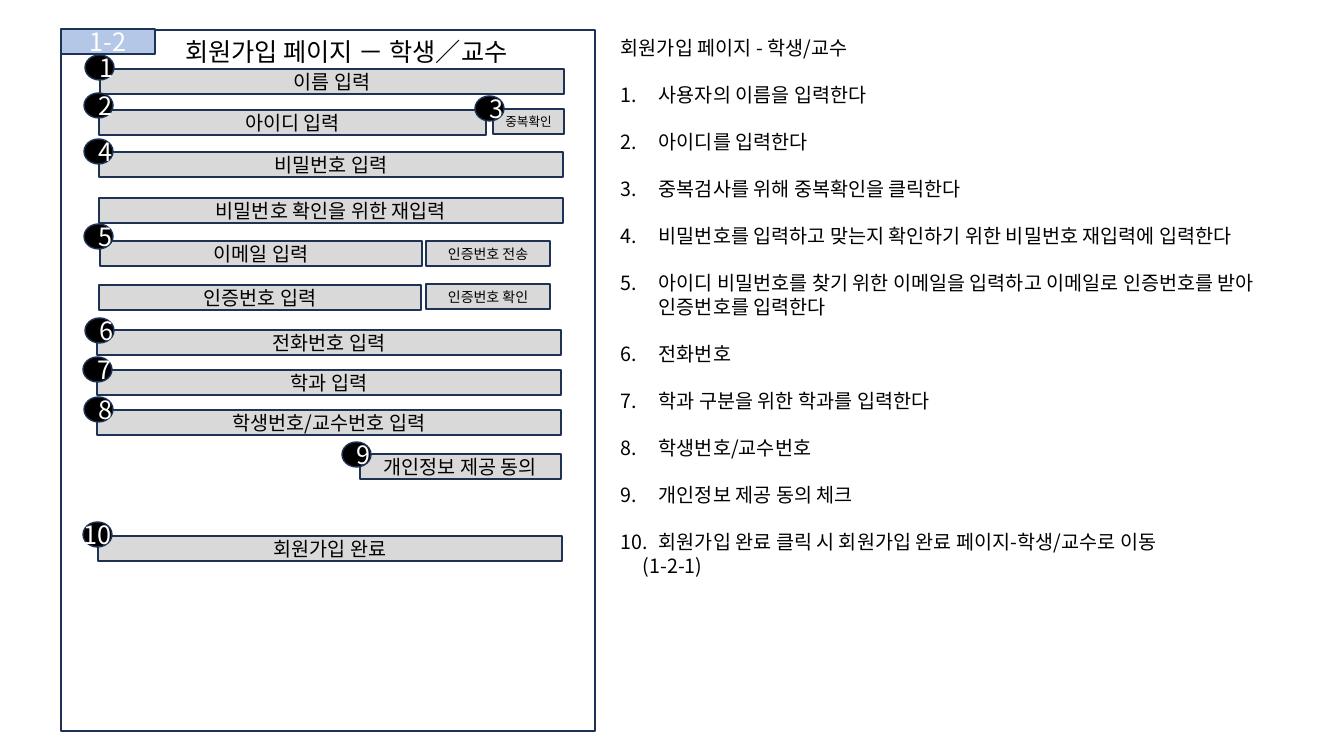
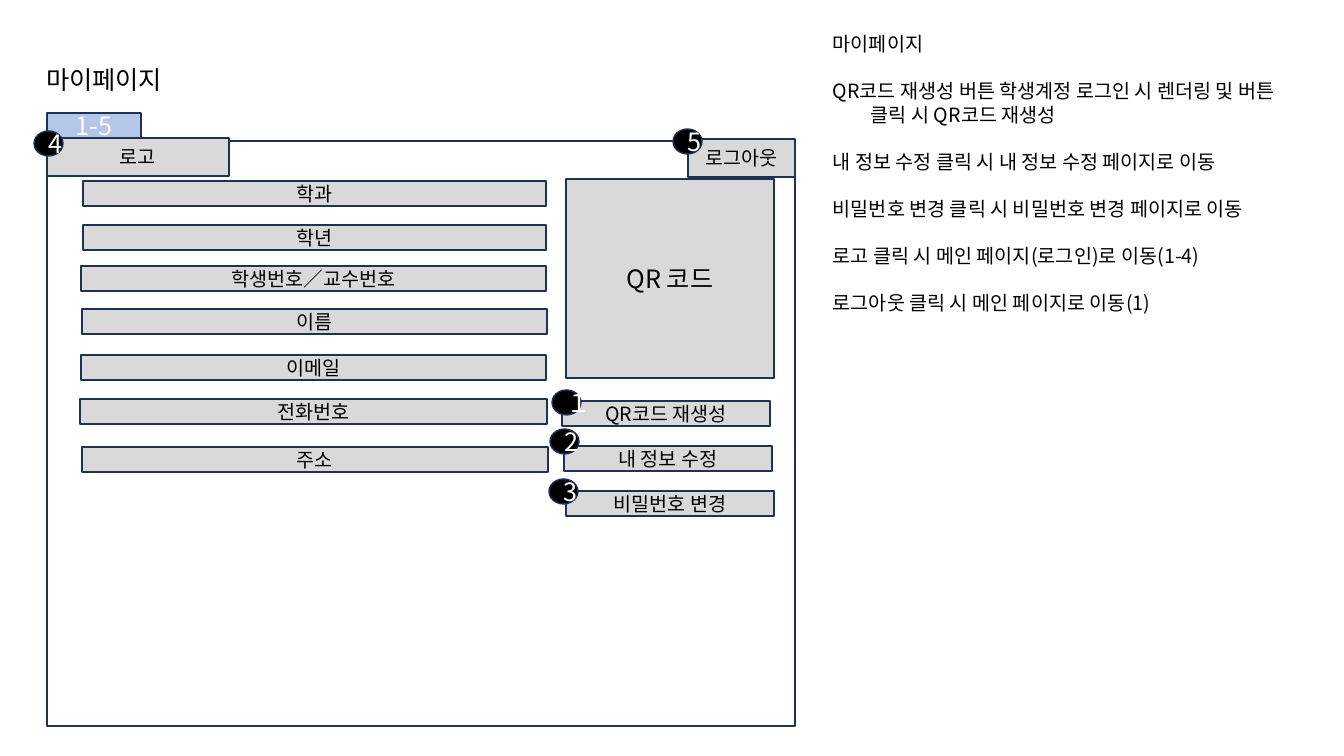
from lxml.etree import SubElement
from pptx import Presentation
from pptx.dml.color import RGBColor
from pptx.enum.shapes import MSO_SHAPE as Preset
from pptx.enum.text import MSO_ANCHOR as Anchor, MSO_AUTO_SIZE as AutoSize, PP_ALIGN as Align
from pptx.oxml.ns import qn
from pptx.util import Emu, Pt

EMU_PER_PX = 914400 / 100.8
FONT = "Noto Sans CJK KR"
WHITE, BLACK, NAVY, GRAY, SKY = "FFFFFF", "000000", "1E3256", "D9D9D9", "B4C7E7"
BODY, HEAD, LEADING = 14, 18, 1.2
ROW, BADGE, HANG = 25, 29, 38

SIGNUP = dict(
    title="회원가입 페이지 － 학생／교수",
    title_box=(175, 31, 388, 40),
    frame=(61, 30, 534, 701),
    tag=("1-2", -1),
    fields=[
        ("이름 입력", 39, 39, 464),
        ("아이디 입력", 38, 80, 387),
        ("중복확인", 432, 79, 71, ROW, 9),
        ("비밀번호 입력", 38, 122, 464),
        ("비밀번호 확인을 위한 재입력", 38, 168, 464),
        ("이메일 입력", 39, 211, 322),
        ("인증번호 전송", 365, 211, 124, ROW, 10),
        ("인증번호 입력", 38, 255, 322),
        ("인증번호 확인", 365, 254, 124, ROW, 10),
        ("전화번호 입력", 36, 300, 464),
        ("학과 입력", 36, 340, 464),
        ("학생번호/교수번호 입력", 36, 380, 464),
        ("개인정보 제공 동의", 299, 424, 201),
        ("회원가입 완료", 37, 506, 464),
    ],
    badges=[("1", 24, 25), ("2", 23, 63), ("3", 414, 66), ("4", 23, 109), ("5", 23, 194),
            ("6", 24, 288), ("7", 22, 327), ("8", 23, 367), ("9", 281, 412), ("10", 22, 492)],
    notes_box=(611, 31, 671, 581),
    heading="회원가입 페이지 - 학생/교수",
    steps=[
        "사용자의 이름을 입력한다",
        "아이디를 입력한다",
        "중복검사를 위해 중복확인을 클릭한다",
        "비밀번호를 입력하고 맞는지 확인하기 위한 비밀번호 재입력에 입력한다",
        "아이디 비밀번호를 찾기 위한 이메일을 입력하고 이메일로 인증번호를 받아 인증번호를 입력한다",
        "전화번호",
        "학과 구분을 위한 학과를 입력한다",
        "학생번호/교수번호",
        "개인정보 제공 동의 체크",
        "회원가입 완료 클릭 시 회원가입 완료 페이지-학생/교수로 이동",
    ],
    numbering="arabicPeriod",
    target="(1-2-1)",
)

MY_PAGE = dict(
    title="마이페이지",
    title_box=(36, 59, 366, 40),
    frame=(47, 141, 748, 585),
    tag=("1-5", -28),
    fields=[
        ("학과", 36, 40, 463),
        ("학년", 36, 84, 463),
        ("학생번호／교수번호", 34, 125, 465),
        ("이름", 35, 168, 465),
        ("이메일", 34, 214, 465),
        ("전화번호", 33, 258, 467),
        ("주소", 35, 306, 466),
        ("QR 코드", 519, 38, 208, 199, HEAD),
        ("QR코드 재생성", 515, 260, 208),
        ("내 정보 수정", 517, 305, 208),
        ("비밀번호 변경", 519, 350, 208),
        ("로그아웃", 641, -2, 107, 38),
        ("로고", 0, -3, 182, 38),
    ],
    badges=[("１", 505, 249), ("2", 503, 288), ("3", 502, 338), ("4", -13, -10), ("5", 626, -12)],
    notes_box=(823, 27, 497, 390),
    heading="마이페이지",
    steps=[
        "QR코드 재생성 버튼 학생계정 로그인 시 렌더링 및 버튼 클릭 시 QR코드 재생성",
        "내 정보 수정 클릭 시 내 정보 수정 페이지로 이동",
        "비밀번호 변경 클릭 시 비밀번호 변경 페이지로 이동",
        "로고 클릭 시 메인 페이지(로그인)로 이동(1-4)",
        "로그아웃 클릭 시 메인 페이지로 이동(1)",
    ],
    numbering="arabicDbPeriod",
    target=None,
)


def px(length):
    """Turn pixels into EMU."""
    return Emu(round(length * EMU_PER_PX))


def rgb(color):
    """Turn a hex string into a colour."""
    return RGBColor.from_string(color)


def write(frame, text, size=BODY, color=BLACK, align=Align.LEFT, leading=None,
          after=0, left=0, hang=0, numbering=None):
    """Add one formatted paragraph to a text frame and return it."""
    paragraph = frame.paragraphs[0] if not frame.text else frame.add_paragraph()
    paragraph.alignment = align
    paragraph.space_before, paragraph.space_after = Pt(0), Pt(after)
    if leading:
        paragraph.line_spacing = Pt(leading)
    props = paragraph._p.get_or_add_pPr()
    props.set("marL", str(px(left)))
    props.set("indent", str(px(-hang)))
    if numbering:
        SubElement(props, qn("a:buFont"), typeface="+mj-lt")
        SubElement(props, qn("a:buAutoNum"), type=numbering)
    run = paragraph.add_run()
    run.text = text
    run.font.size = Pt(size)
    run.font.color.rgb = rgb(color)
    run.font.name = FONT
    SubElement(run.font._element, qn("a:ea"), typeface=FONT)
    return paragraph


def block(slide, box, fill, text=None, preset=Preset.RECTANGLE, **text_format):
    """Draw an outlined shape with optional centred text."""
    shape = slide.shapes.add_shape(preset, *map(px, box))
    shape.shadow.inherit = False
    shape.fill.solid()
    shape.fill.fore_color.rgb = rgb(fill)
    shape.line.color.rgb = rgb(NAVY)
    shape.line.width = Pt(1)
    if text:
        shape.text_frame.vertical_anchor = Anchor.MIDDLE
        write(shape.text_frame, text, align=Align.CENTER, **text_format)
    return shape


def badge(slide, box, number):
    """Draw a numbered black marker."""
    marker = block(slide, box, BLACK, number, Preset.OVAL, size=HEAD, color=WHITE)
    if len(number) > 1:
        marker.text_frame.word_wrap = False
        marker.text_frame.margin_left = marker.text_frame.margin_right = 0


def wireframe(slide, box, tag, fields, badges):
    """Draw a screen mock-up with its parts placed from the box corner."""
    left, top, _, _ = box
    block(slide, box, WHITE)
    code, tag_top = tag
    block(slide, (left, top + tag_top, 94, ROW), SKY, code, size=HEAD, color=WHITE)
    for label, x, y, width, *rest in fields:
        height, size = rest + [ROW, BODY][len(rest):]
        block(slide, (left + x, top + y, width, height), GRAY, label, size=size)
    for number, x, y in badges:
        badge(slide, (left + x, top + y, BADGE, ROW), number)


def page_title(slide, box, text):
    """Place the title placeholder in front of the mock-up."""
    title = slide.shapes.title
    title.left, title.top, title.width, title.height = map(px, box)
    frame = title.text_frame
    frame.auto_size = AutoSize.NONE
    frame.vertical_anchor = Anchor.TOP
    write(frame, text, size=HEAD, leading=HEAD * LEADING)
    slide.shapes.element.append(title.element)


def notes_panel(slide, box, heading, steps, numbering, target):
    """Write the heading and the numbered description of the screen."""
    frame = slide.shapes.add_textbox(*map(px, box)).text_frame
    frame.word_wrap = True
    line = BODY * LEADING
    write(frame, heading, leading=line, after=line)
    for step in steps:
        last = write(frame, step, leading=line, after=line, left=HANG, hang=HANG,
                     numbering=numbering)
    if target:
        last.space_after = Pt(0)
        write(frame, target, leading=line, left=22)


def screen_slide(deck, page):
    """Build one slide: mock-up, title and description."""
    slide = deck.slides.add_slide(deck.slide_layouts[5])
    wireframe(slide, page["frame"], page["tag"], page["fields"], page["badges"])
    page_title(slide, page["title_box"], page["title"])
    notes_panel(slide, page["notes_box"], page["heading"], page["steps"],
                page["numbering"], page["target"])


def main():
    """Build and save the deck."""
    deck = Presentation()
    deck.slide_width, deck.slide_height = px(1344), px(756)
    for page in (SIGNUP, MY_PAGE):
        screen_slide(deck, page)
    deck.save("out.pptx")


if __name__ == "__main__":
    main()
